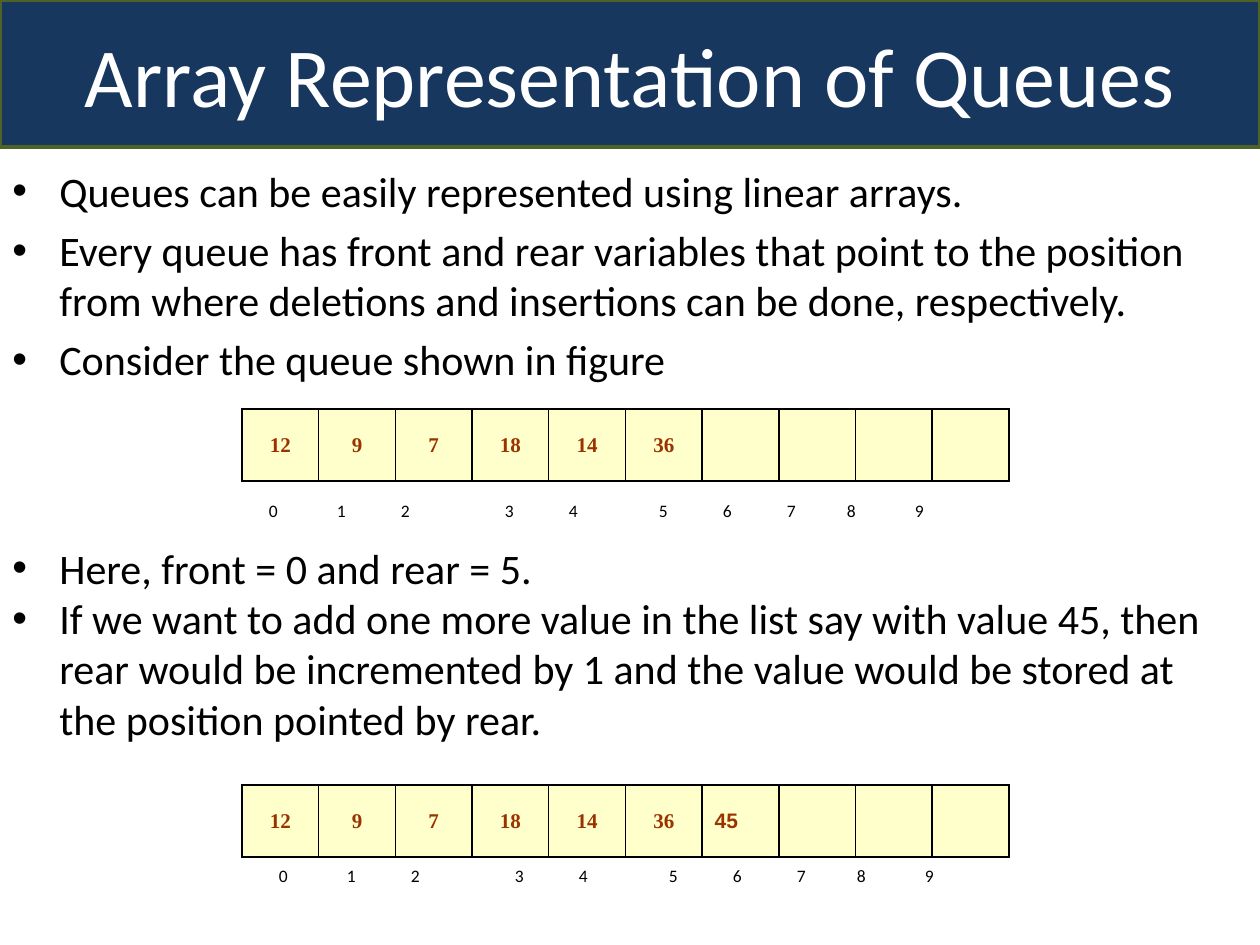
import pptx
import pptx.dml.color
import pptx.enum.shapes
import pptx.enum.text
import pptx.oxml
import pptx.oxml.ns
import pptx.util

RGBColor = pptx.dml.color.RGBColor
Pt = pptx.util.Pt
ALIGN = pptx.enum.text.PP_ALIGN
MIDDLE = pptx.enum.text.MSO_ANCHOR.MIDDLE

NAVY = RGBColor(0x17, 0x37, 0x5E)
OLIVE = RGBColor(0x4F, 0x62, 0x28)
WHITE = RGBColor(0xFF, 0xFF, 0xFF)
BLACK = RGBColor(0, 0, 0)
CREAM = RGBColor(0xFF, 0xFF, 0xCC)
RUST = RGBColor(0x99, 0x33, 0x00)

PX_PER_INCH = 126
QUEUE_LENGTH = 10
QUEUE_LEFT, QUEUE_WIDTH, QUEUE_HEIGHT = 242, 767, 72
INDEX_STOPS = [19, 87, 151, 255, 319, 409, 473, 537, 597, 665]

INTRO = [
    "Queues can be easily represented using linear arrays.",
    "Every queue has front and rear variables that point to the position "
    "from where deletions and insertions can be done, respectively.",
    "Consider the queue shown in figure",
]
INSERTION = [
    "Here, front = 0 and rear = 5.",
    "If we want to add one more value in the list say with value 45, then "
    "rear would be incremented by 1 and the value would be stored at the "
    "position pointed by rear.",
]
QUEUE = ["12", "9", "7", "18", "14", "36"]


def px(length):
    return pptx.util.Emu(round(length * 914400 / PX_PER_INCH))


def box(*lengths):
    return [px(length) for length in lengths]


def drawing_element(tag, attributes, content=""):
    namespace = pptx.oxml.ns.nsdecls("a")
    return pptx.oxml.parse_xml(
        f"<a:{tag} {namespace} {attributes}>{content}</a:{tag}>")


def style(paragraph, size, color, name="Calibri", bold=False):
    for run in paragraph.runs:
        run.font.size = Pt(size)
        run.font.name = name
        run.font.bold = bold
        run.font.color.rgb = color


def add_title(slide, text):
    banner = slide.shapes.add_shape(
        pptx.enum.shapes.MSO_SHAPE.ROUNDED_RECTANGLE, *box(0, 0, 1260, 147))
    banner.adjustments[0] = 0
    banner.shadow.inherit = False
    banner.fill.solid()
    banner.fill.fore_color.rgb = NAVY
    banner.line.color.rgb = OLIVE
    banner.line.width = Pt(2)
    frame = banner.text_frame
    frame.text = text
    frame.vertical_anchor = MIDDLE
    frame.paragraphs[0].alignment = ALIGN.CENTER
    style(frame.paragraphs[0], 48, WHITE)


def add_bullets(slide, place, lines, gap=0):
    frame = slide.shapes.add_textbox(*box(*place)).text_frame
    frame.word_wrap = True
    frame.text = "\n".join(lines)
    for number, paragraph in enumerate(frame.paragraphs):
        properties = paragraph._p.get_or_add_pPr()
        properties.set("marL", str(px(47)))
        properties.set("indent", str(px(-47)))
        properties.append(drawing_element("buFont", 'typeface="Arial"'))
        properties.append(drawing_element("buChar", 'char="•"'))
        if number:
            paragraph.space_before = Pt(gap)
        style(paragraph, 24, BLACK)


def add_borders(cell):
    properties = cell._tc.get_or_add_tcPr()
    line = '<a:solidFill><a:srgbClr val="000000"/></a:solidFill>'
    for position, side in enumerate(("lnL", "lnR", "lnT", "lnB")):
        properties.insert(
            position, drawing_element(side, f'w="{Pt(1)}"', line))


def add_queue(slide, top, values):
    """Draw the array as one table row and return its table."""
    queue = slide.shapes.add_table(
        1, QUEUE_LENGTH,
        *box(QUEUE_LEFT, top, QUEUE_WIDTH, QUEUE_HEIGHT)).table
    queue.first_row = False
    queue.horz_banding = False
    for slot in range(QUEUE_LENGTH):
        cell = queue.cell(0, slot)
        cell.fill.solid()
        cell.fill.fore_color.rgb = CREAM
        cell.vertical_anchor = MIDDLE
        add_borders(cell)
        if slot < len(values):
            cell.text = values[slot]
            paragraph = cell.text_frame.paragraphs[0]
            paragraph.alignment = ALIGN.CENTER
            style(paragraph, 12, RUST, "Times New Roman", True)
    return queue


def add_indexes(slide, place):
    """Number the slots, each index centred on its own tab stop."""
    frame = slide.shapes.add_textbox(*box(*place)).text_frame
    frame.word_wrap = True
    frame.vertical_anchor = MIDDLE
    paragraph = frame.paragraphs[0]
    paragraph.text = "".join(f"\t{index}" for index in range(QUEUE_LENGTH))
    stops = drawing_element("tabLst", "", "".join(
        f'<a:tab pos="{px(stop)}" algn="ctr"/>' for stop in INDEX_STOPS))
    paragraph._p.get_or_add_pPr().append(stops)
    style(paragraph, 10, BLACK)


def main():
    deck = pptx.Presentation()
    deck.slide_width, deck.slide_height = box(1260, 945)
    slide = deck.slides.add_slide(deck.slide_layouts[6])

    add_title(slide, "Array Representation of Queues")
    add_bullets(slide, (0, 159, 1260, 230), INTRO, gap=5)
    add_indexes(slide, (242, 494, 724, 34))
    add_queue(slide, 409, QUEUE)
    add_bullets(slide, (0, 536, 1228, 214), INSERTION)
    longer_queue = add_queue(slide, 785, QUEUE + ["45"])
    inserted = longer_queue.cell(0, len(QUEUE)).text_frame.paragraphs[0]
    inserted.alignment = ALIGN.LEFT
    style(inserted, 12, RUST, "Arial", True)
    add_indexes(slide, (252, 859, 755, 34))

    deck.save("out.pptx")


if __name__ == "__main__":
    main()
